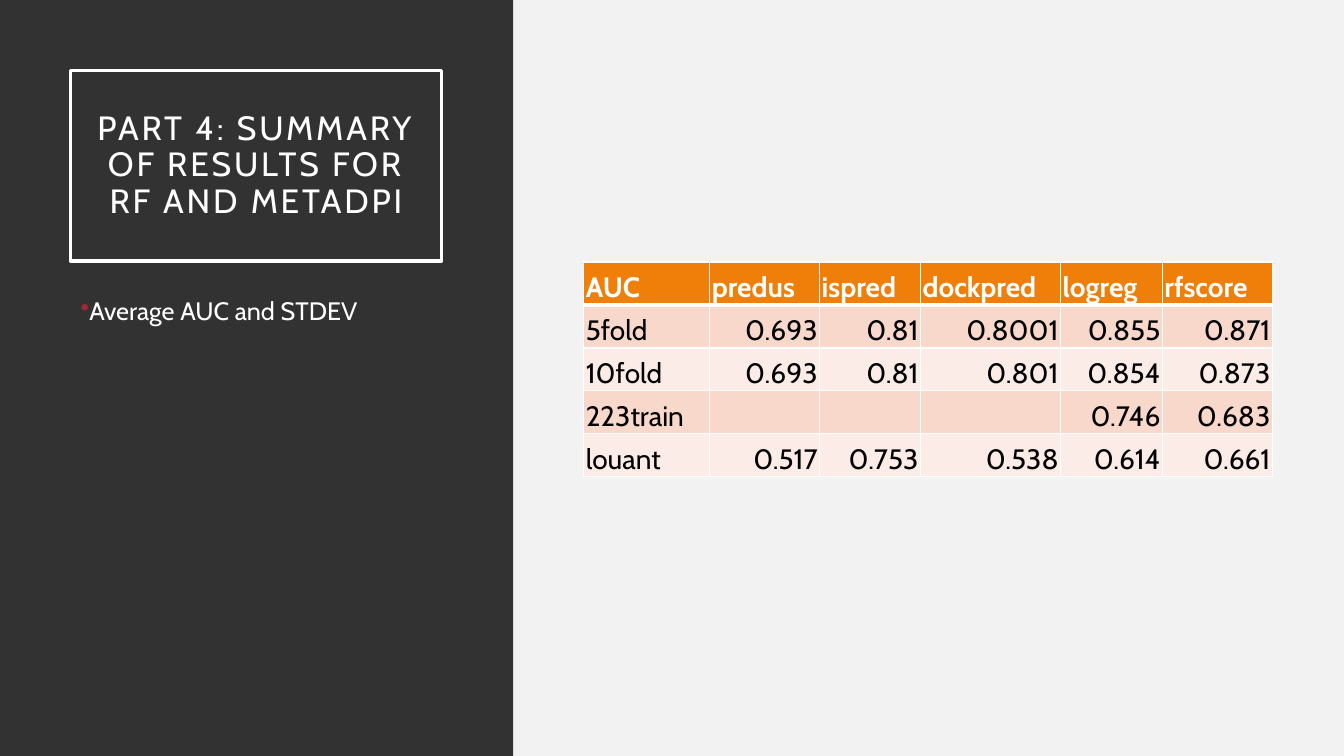
from lxml.etree import SubElement
from pptx import Presentation
from pptx.dml.color import RGBColor
from pptx.enum.shapes import MSO_SHAPE as Shape
from pptx.enum.text import MSO_ANCHOR as Anchor, PP_ALIGN as Align
from pptx.oxml.ns import qn
from pptx.util import Inches, Pt

FONT = "Cabin"
WHITE = RGBColor(0xFF, 0xFF, 0xFF)
BLACK = RGBColor(0x00, 0x00, 0x00)
BACKGROUND = RGBColor(0xF2, 0xF2, 0xF2)
CHARCOAL = RGBColor(0x32, 0x32, 0x32)
BULLET_RED = RGBColor(0x9F, 0x29, 0x36)
HEADER_ORANGE = RGBColor(0xF0, 0x7F, 0x09)
BANDS = RGBColor(0xF9, 0xD8, 0xCC), RGBColor(0xFC, 0xEC, 0xE7)

AUC_ROWS = [
    ("AUC", "predus", "ispred", "dockpred", "logreg", "rfscore"),
    ("5fold", "0.693", "0.81", "0.8001", "0.855", "0.871"),
    ("10fold", "0.693", "0.81", "0.801", "0.854", "0.873"),
    ("223train", "", "", "", "0.746", "0.683"),
    ("louant", "0.517", "0.753", "0.538", "0.614", "0.661"),
]
COLUMN_WIDTHS = (1.25, 1.09, 1, 1.39, 1.01, 1.09)


def add_run(paragraph, text, size, color, bold=False):
    run = paragraph.add_run()
    run.text = text
    run.font.name = FONT
    run.font.size = Pt(size)
    run.font.bold = bold
    run.font.color.rgb = color
    return run


def add_solid_fill(parent, color):
    fill = SubElement(parent, qn("a:solidFill"))
    SubElement(fill, qn("a:srgbClr"), val=str(color))


def add_side_panel(slide):
    panel = slide.shapes.add_shape(Shape.RECTANGLE, 0, 0, Inches(5.09), Inches(7.5))
    panel.shadow.inherit = False
    panel.fill.solid()
    panel.fill.fore_color.rgb = CHARCOAL
    panel.line.fill.background()


def add_framed_title(slide, text):
    title = slide.shapes.add_shape(
        Shape.RECTANGLE, Inches(0.7), Inches(0.7), Inches(3.68), Inches(1.89))
    title.shadow.inherit = False
    title.fill.background()
    title.line.color.rgb = WHITE
    title.line.width = Pt(2.5)
    frame = title.text_frame
    frame.word_wrap = True
    frame.vertical_anchor = Anchor.MIDDLE
    frame.margin_left = frame.margin_right = Inches(0.2)
    frame.margin_top = frame.margin_bottom = Inches(0.2)
    paragraph = frame.paragraphs[0]
    paragraph.alignment = Align.CENTER
    paragraph.line_spacing = 0.9
    run = add_run(paragraph, text, 24, WHITE)
    run.font._element.set("spc", "200")


def add_bullet_note(slide, text):
    note = slide.shapes.add_textbox(
        Inches(0.7), Inches(2.88), Inches(3.68), Inches(3.74))
    note.text_frame.word_wrap = True
    paragraph = note.text_frame.paragraphs[0]
    paragraph.space_before = Pt(10)
    paragraph.space_after = Pt(6)
    properties = paragraph._p.get_or_add_pPr()
    properties.set("marL", "0")
    properties.set("indent", str(Inches(-0.25)))
    bullet_color = SubElement(properties, qn("a:buClr"))
    SubElement(bullet_color, qn("a:srgbClr"), val=str(BULLET_RED))
    SubElement(properties, qn("a:buChar"), char="•")
    add_run(paragraph, text, 18, WHITE)


def set_borders(cell, top, bottom):
    """Draw white borders: 1 pt at the sides, the given points above and below."""
    properties = cell._tc.get_or_add_tcPr()
    for tag, points in (("lnL", 1), ("lnR", 1), ("lnT", top), ("lnB", bottom)):
        border = SubElement(properties, qn(f"a:{tag}"), w=str(Pt(points)))
        add_solid_fill(border, WHITE)


def fill_cell(cell, text, row, column):
    is_header = row == 0
    cell.vertical_anchor = Anchor.BOTTOM
    cell.margin_left = cell.margin_right = cell.margin_top = Inches(0.02)
    cell.margin_bottom = 0
    set_borders(cell, top=3 if row == 1 else 1, bottom=3 if is_header else 1)
    cell.fill.solid()
    cell.fill.fore_color.rgb = HEADER_ORANGE if is_header else BANDS[(row - 1) % 2]
    if text:
        paragraph = cell.text_frame.paragraphs[0]
        paragraph.alignment = Align.RIGHT if row and column else Align.LEFT
        add_run(paragraph, text, 20, WHITE if is_header else BLACK, is_header)


def add_auc_table(slide):
    table = slide.shapes.add_table(
        len(AUC_ROWS), len(COLUMN_WIDTHS),
        Inches(5.79), Inches(2.6), Inches(6.84), Inches(2.13)).table
    for column, width in zip(table.columns, COLUMN_WIDTHS):
        column.width = Inches(width)
    for row, texts in enumerate(AUC_ROWS):
        for column, text in enumerate(texts):
            fill_cell(table.cell(row, column), text, row, column)


def main():
    deck = Presentation()
    deck.slide_width = Inches(13.33)
    deck.slide_height = Inches(7.5)
    slide = deck.slides.add_slide(deck.slide_layouts[6])
    slide.background.fill.solid()
    slide.background.fill.fore_color.rgb = BACKGROUND
    add_side_panel(slide)
    add_framed_title(slide, "PART 4: SUMMARY OF RESULTS FOR RF AND METADPI")
    add_bullet_note(slide, "Average AUC and STDEV")
    add_auc_table(slide)
    deck.save("out.pptx")


if __name__ == "__main__":
    main()
